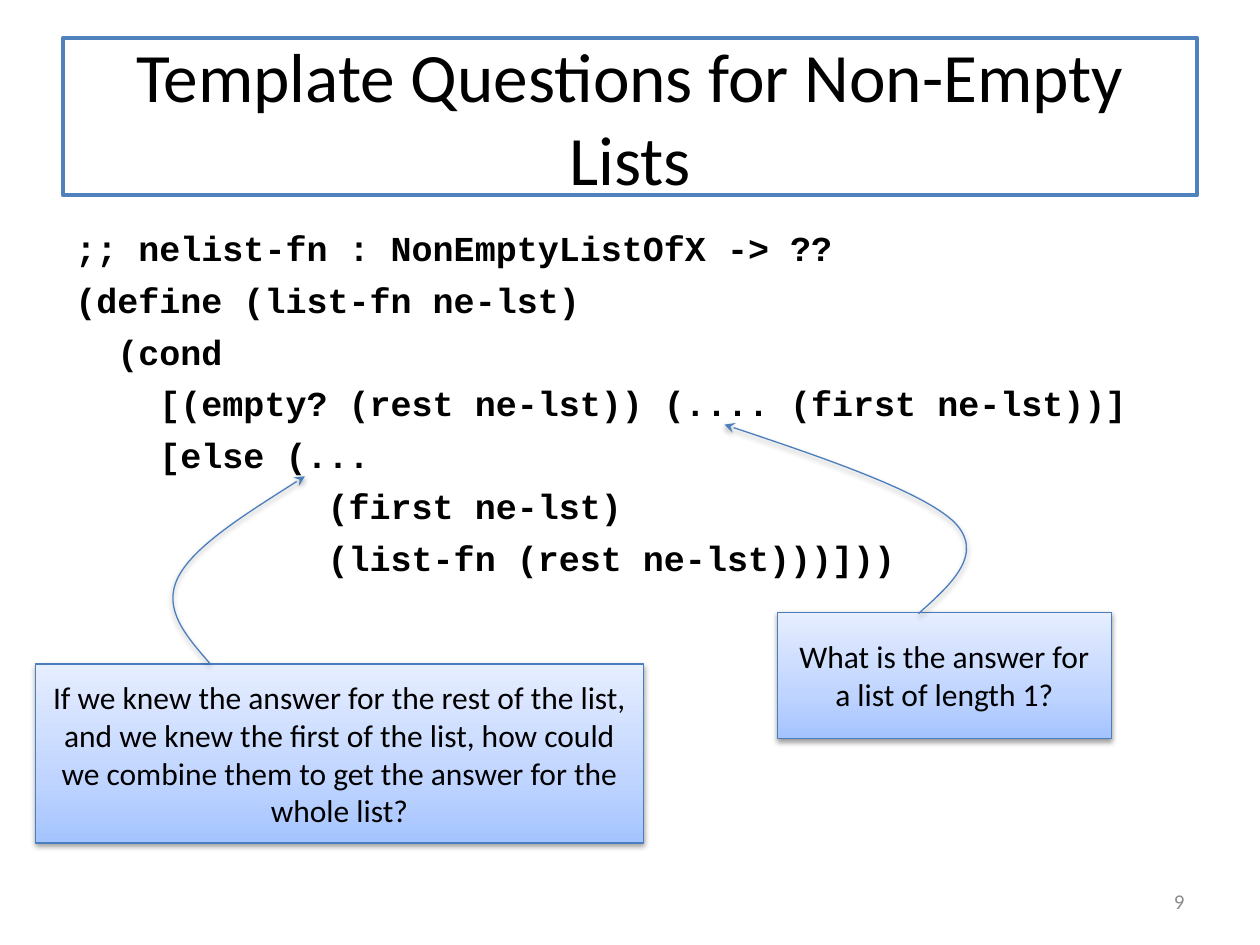
from copy import deepcopy

from lxml.etree import SubElement
from pptx import Presentation
from pptx.dml.color import RGBColor
from pptx.enum.shapes import MSO_SHAPE
from pptx.enum.text import MSO_ANCHOR, MSO_AUTO_SIZE, PP_ALIGN
from pptx.oxml.ns import qn
from pptx.util import Inches, Pt

BLACK = RGBColor(0x00, 0x00, 0x00)
WHITE = RGBColor(0xFF, 0xFF, 0xFF)
GREY = RGBColor(0x8C, 0x8C, 0x8C)
TITLE_BORDER = RGBColor(0x4F, 0x81, 0xBD)
OUTLINE = RGBColor(0x4B, 0x7E, 0xBC)
GRADIENT = [
    (0, RGBColor(0xA4, 0xC4, 0xFF)),
    (0.35, RGBColor(0xBF, 0xD4, 0xFF)),
    (1, RGBColor(0xE6, 0xEE, 0xFF)),
]

TITLE_FONT = {"name": "Calibri", "size": Pt(39.6), "color": BLACK}
CODE_FONT = {"name": "Courier New", "size": Pt(20), "bold": True, "color": BLACK}
CALLOUT_FONT = {"name": "Calibri", "size": Pt(18), "color": BLACK}
NUMBER_FONT = {"name": "Calibri", "size": Pt(12), "color": GREY}

CODE = """;; nelist-fn : NonEmptyListOfX -> ??
(define (list-fn ne-lst)
  (cond
    [(empty? (rest ne-lst)) (.... (first ne-lst))]
    [else (...
            (first ne-lst)
            (list-fn (rest ne-lst)))]))"""

CALLOUTS = [
    ("What is the answer for a list of length 1?", (6.17, 4.86, 2.65, 1)),
    (
        "If we knew the answer for the rest of the list, and we knew the first "
        "of the list, how could we combine them to get the answer for the whole list?",
        (0.28, 5.27, 4.83, 1.42),
    ),
]
ARROWS = [
    [(7.29, 4.87), (7.56, 4.63), (7.82, 4.39), (7.57, 4.14),
     (7.31, 3.9), (6.53, 3.63), (5.75, 3.37)],
    [(1.67, 5.27), (1.48, 5.05), (1.29, 4.84), (1.41, 4.59),
     (1.53, 4.34), (1.98, 4.06), (2.42, 3.78)],
]


class SlideBuilder:
    """Holds the shared style and the slide being built."""

    def __init__(self, slide):
        self.slide = slide

    def set_text(self, shape, text, font, align, anchor=MSO_ANCHOR.MIDDLE, gap=Pt(0)):
        frame = shape.text_frame
        frame.text = text
        settings = {"word_wrap": True, "auto_size": MSO_AUTO_SIZE.NONE,
                    "vertical_anchor": anchor}
        for name, value in settings.items():
            setattr(frame, name, value)
        for index, paragraph in enumerate(frame.paragraphs):
            paragraph.alignment = align
            paragraph.space_before = gap if index else Pt(0)
            for name, value in font.items():
                if name == "color":
                    paragraph.font.color.rgb = value
                else:
                    setattr(paragraph.font, name, value)

    def outline(self, shape, color, width):
        shape.line.color.rgb = color
        shape.line.width = Pt(width)

    def cast_shadow(self, shape):
        shape.shadow.inherit = False
        effects = shape._element.spPr.find(qn("a:effectLst"))
        shadow = SubElement(effects, qn("a:outerShdw"), blurRad="40000",
                            dist="20000", dir="5400000", rotWithShape="0")
        color = SubElement(shadow, qn("a:srgbClr"), val="000000")
        SubElement(color, qn("a:alpha"), val="38000")

    def title(self, text, box):
        title = self.slide.shapes.title
        for name, value in zip(("left", "top", "width", "height"), box):
            setattr(title, name, Inches(value))
        title.fill.solid()
        title.fill.fore_color.rgb = WHITE
        self.outline(title, TITLE_BORDER, 2.25)
        self.set_text(title, text, TITLE_FONT, PP_ALIGN.CENTER)

    def text(self, text, box, font, align, **layout):
        label = self.slide.shapes.add_textbox(*map(Inches, box))
        self.set_text(label, text, font, align, **layout)

    def callout(self, text, box):
        callout = self.slide.shapes.add_shape(MSO_SHAPE.RECTANGLE, *map(Inches, box))
        callout.fill.gradient()
        callout.fill.gradient_angle = 90
        stops = callout._element.spPr.find(qn("a:gradFill")).find(qn("a:gsLst"))
        stops.append(deepcopy(stops[0]))
        for stop, (position, color) in zip(callout.fill.gradient_stops, GRADIENT):
            stop.position = position
            stop.color.rgb = color
        self.outline(callout, OUTLINE, 0.75)
        self.cast_shadow(callout)
        self.set_text(callout, text, CALLOUT_FONT, PP_ALIGN.CENTER)

    def curved_arrow(self, points):
        start, *controls = [(Inches(x), Inches(y)) for x, y in points]
        builder = self.slide.shapes.build_freeform(*start)
        builder.add_line_segments(controls, close=False)
        arrow = builder.convert_to_shape()
        segments = list(arrow._element.iter(qn("a:lnTo")))
        for first in range(0, len(segments), 3):
            curve = SubElement(segments[first].getparent(), qn("a:cubicBezTo"))
            for segment in segments[first:first + 3]:
                curve.append(segment[0])
                segment.getparent().remove(segment)
        arrow.fill.background()
        self.outline(arrow, OUTLINE, 0.75)
        border = arrow._element.spPr.find(qn("a:ln"))
        SubElement(border, qn("a:tailEnd"), type="stealth")
        self.cast_shadow(arrow)


def main():
    presentation = Presentation()
    presentation.slide_width = Inches(10)
    presentation.slide_height = Inches(7.5)
    builder = SlideBuilder(presentation.slides.add_slide(presentation.slide_layouts[5]))
    builder.title("Template Questions for Non-Empty Lists", (0.5, 0.3, 9, 1.25))
    builder.text(CODE, (0.5, 1.75, 9, 4.95), CODE_FONT, PP_ALIGN.LEFT,
                 anchor=MSO_ANCHOR.TOP, gap=Pt(5.5))
    builder.text("9", (7.17, 6.95, 2.33, 0.4), NUMBER_FONT, PP_ALIGN.RIGHT)
    for text, box in CALLOUTS:
        builder.callout(text, box)
    for points in ARROWS:
        builder.curved_arrow(points)
    presentation.save("out.pptx")


if __name__ == "__main__":
    main()
